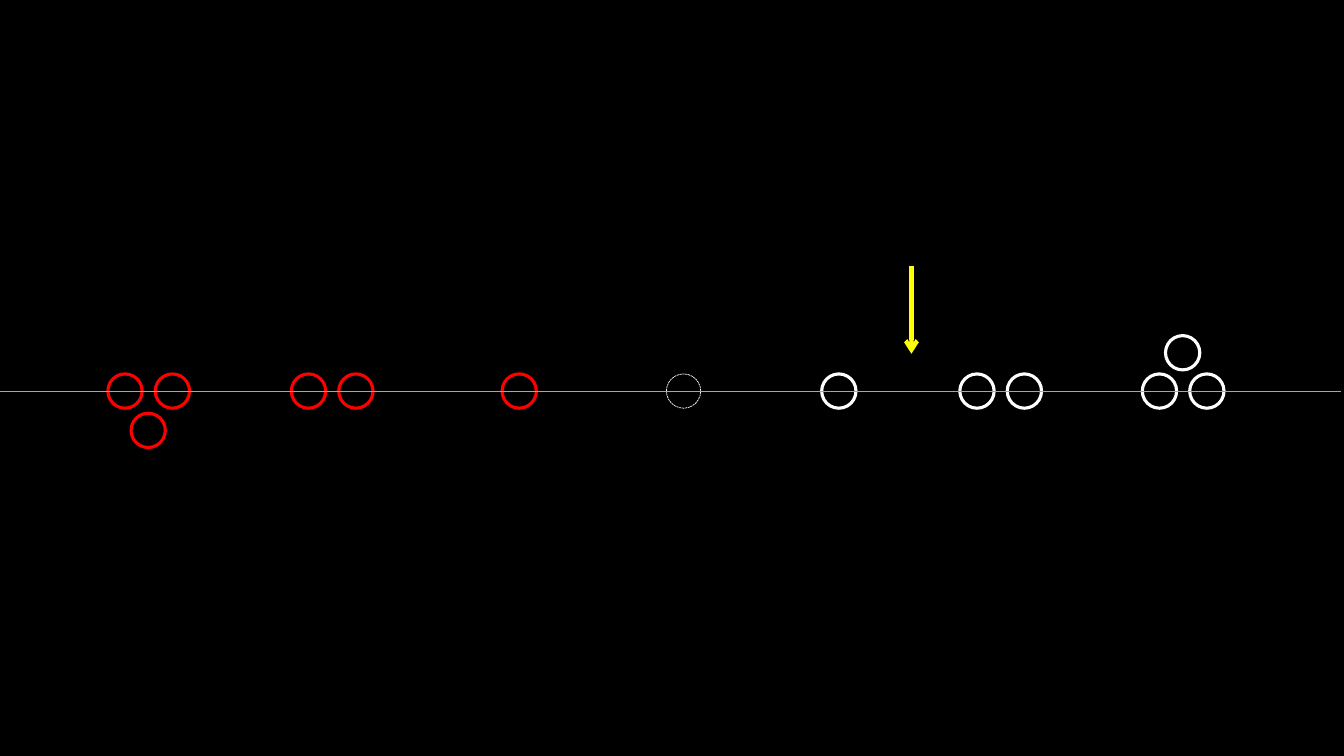
import pptx
import pptx.util
import pptx.dml.color
import pptx.enum.dml
import pptx.enum.shapes
import pptx.oxml
import pptx.oxml.ns

PX = 9144
SIZE = 34
ROW = 371
GAP = 47
WHITE, RED, YELLOW, GRAY = "FFFFFF", "FF0000", "FFFF00", "A6A6A6"


def paint(line, color, width):
    line.color.rgb = pptx.dml.color.RGBColor.from_string(color)
    line.width = pptx.util.Pt(width)


deck = pptx.Presentation()
deck.slide_width = 1333 * PX
deck.slide_height = 750 * PX
slide = deck.slides.add_slide(deck.slide_layouts[6])
back = slide.background.fill
back.solid()
back.fore_color.rgb = pptx.dml.color.RGBColor.from_string("000000")

groups = [
    (661, 1, 0, WHITE, 0.5),
    (815, 1, 0, WHITE, 2.25),
    (952, 2, 0, WHITE, 2.25),
    (1133, 2, -38, WHITE, 2.25),
    (498, 1, 0, RED, 2.25),
    (289, 2, 0, RED, 2.25),
    (107, 2, 39, RED, 2.25),
]
for left, count, shift, color, width in groups:
    spots = [(left + GAP * step, ROW) for step in range(count)]
    if shift:
        spots.append((left + GAP // 2, ROW + shift))
    for x, y in spots:
        ring = slide.shapes.add_shape(
            pptx.enum.shapes.MSO_SHAPE.OVAL, x * PX, y * PX, SIZE * PX, SIZE * PX)
        ring.shadow.inherit = False
        ring.fill.background()
        paint(ring.line, color, width)
        if width < 1:
            ring.line.dash_style = pptx.enum.dml.MSO_LINE.SQUARE_DOT

lines = [
    (904, 264, 904, 351, YELLOW, 3, True),
    (0, 388, 1330, 388, GRAY, 0.5, False),
]
for x1, y1, x2, y2, color, width, head in lines:
    link = slide.shapes.add_connector(
        pptx.enum.shapes.MSO_CONNECTOR.STRAIGHT, x1 * PX, y1 * PX, x2 * PX, y2 * PX)
    paint(link.line, color, width)
    props = link._element.spPr
    if head:
        tip = pptx.oxml.parse_xml(
            '<a:tailEnd %s type="arrow"/>' % pptx.oxml.ns.nsdecls("a"))
        props.find(pptx.oxml.ns.qn("a:ln")).append(tip)
    props.append(pptx.oxml.parse_xml(
        "<a:effectLst %s/>" % pptx.oxml.ns.nsdecls("a")))

deck.save("out.pptx")
